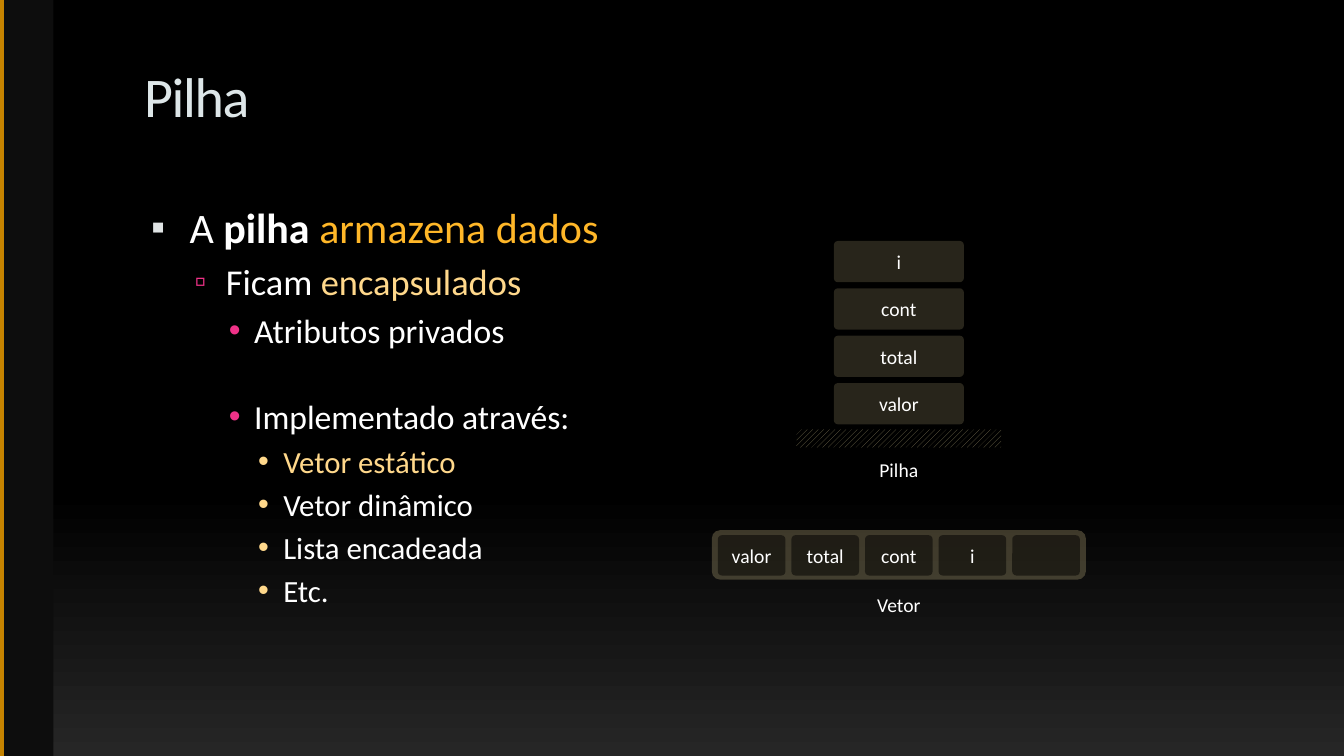
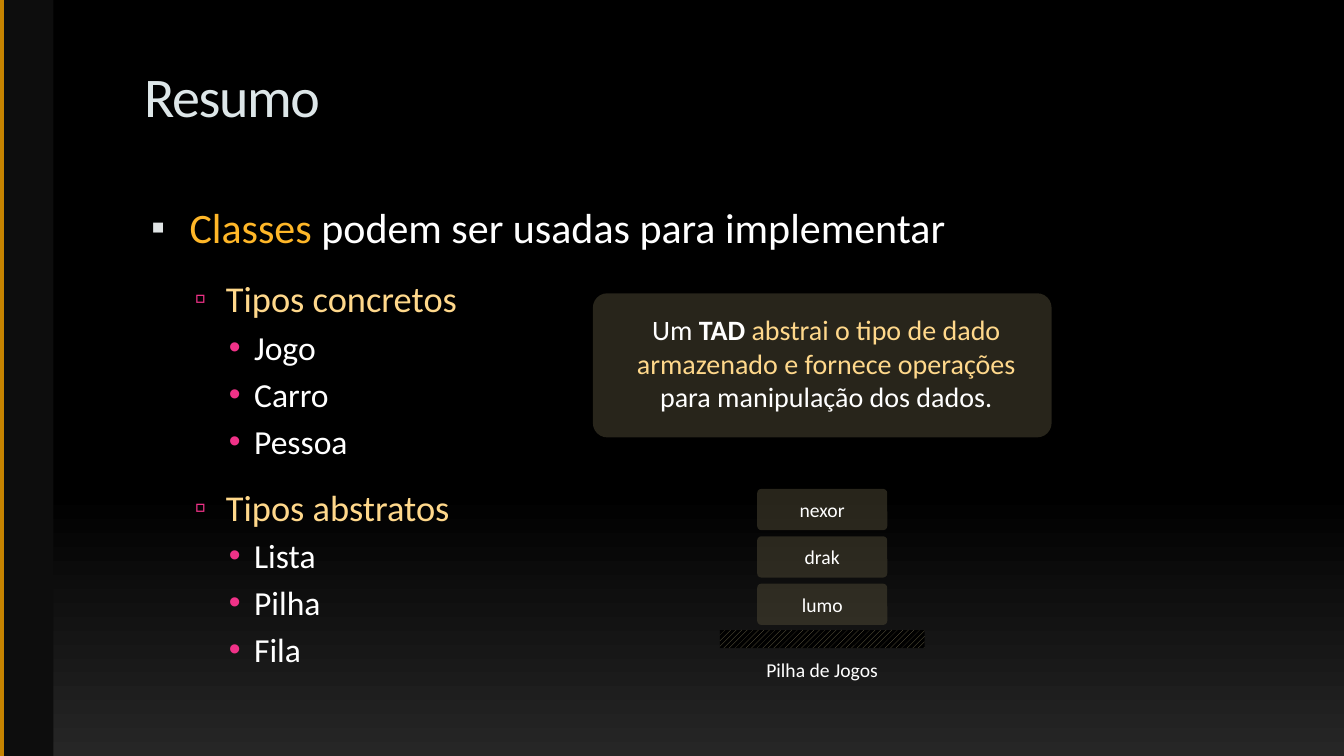
"""Build two dark slides about stacks and abstract data types."""
from copy import deepcopy
from dataclasses import dataclass

from lxml import etree
from pptx import Presentation, util as u
from pptx.dml.color import RGBColor
from pptx.enum import dml, shapes, text
from pptx.oxml import ns


@dataclass(frozen=True)
class Theme:
    """Hold the colours, type sizes and list levels of the deck."""
    font: str = "Calibri"
    black: str = "000000"
    floor: str = "262626"
    band: str = "0D0D0D"
    edge: str = "C58300"
    heading: str = "DDE6E8"
    white: str = "FFFFFF"
    amber: str = "FFB728"
    cream: str = "FFD88B"
    block: str = "504A36"
    olive: str = "786F51"
    title_size: int = 40
    callout_size: int = 20
    label_size: int = 14
    corner: float = 0.1
    levels: tuple = (
        dict(size=30, left=0.45, hang=0.38, before=7, mark="▪", tint="E0E4E5", scale=95),
        dict(size=26, left=0.81, hang=0.31, before=5.2, mark="▫", tint="F03288", scale=90),
        dict(size=24, left=1.09, hang=0.25, before=4.8, mark="•", tint="F03288", scale=100),
        dict(size=22, left=1.38, hang=0.25, before=4.4, mark="•", tint="FFD88B", scale=100),
    )


THEME = Theme()


def apply(target, **values):
    """Set every given format value on the target."""
    for name, value in values.items():
        setattr(target, name, value)


def place(shape, left, top, width, height):
    """Move and size a shape in inches."""
    apply(shape, left=u.Inches(left), top=u.Inches(top),
          width=u.Inches(width), height=u.Inches(height))


def node(parent, tag, **values):
    """Append a DrawingML element with its attributes."""
    child = etree.SubElement(parent, ns.qn(tag))
    for name, value in values.items():
        child.set(name, str(value))
    return child


def write(para, spans, size, align=None):
    """Fill a paragraph with (text, colour, bold) spans."""
    para.alignment = align
    for content, colour, bold in spans:
        span = para.add_run()
        span.text = content
        apply(span.font, name=THEME.font, size=u.Pt(size), bold=bold)
        span.font.color.rgb = RGBColor.from_string(colour)


def plain(content, colour=THEME.white):
    """Return the spans of a text in one colour."""
    return [(content, colour, False)]


def add_box(parent, kind, at, colour, opacity=100, corner=None):
    """Add a filled shape without outline or shadow."""
    box = parent.shapes.add_shape(kind, *map(u.Inches, at))
    box.shadow.inherit = False
    box.line.fill.background()
    box.fill.solid()
    box.fill.fore_color.rgb = RGBColor.from_string(colour)
    if opacity < 100:
        tint = box.fill._xPr.find(ns.qn("a:solidFill"))[0]
        node(tint, "a:alpha", val=opacity * 1000)
    if corner is not None:
        box.adjustments[0] = corner
    return box


def add_block(parent, at, label, colour):
    """Add a translucent rounded block with a centred label."""
    block = add_box(parent, shapes.MSO_SHAPE.ROUNDED_RECTANGLE, at, colour, 50, THEME.corner)
    if label:
        frame = block.text_frame
        apply(frame, vertical_anchor=text.MSO_ANCHOR.MIDDLE, word_wrap=False)
        write(frame.paragraphs[0], plain(label), THEME.label_size, text.PP_ALIGN.CENTER)


def add_text(parent, at, spans, size):
    """Add a centred, wrapping text box."""
    box = parent.shapes.add_textbox(*map(u.Inches, at))
    box.text_frame.word_wrap = True
    write(box.text_frame.paragraphs[0], spans, size, text.PP_ALIGN.CENTER)


def add_stack(page, left, top, labels, caption):
    """Draw a stack, bottom label first, above the base at left and top."""
    group = page.shapes.add_group_shape()
    width, height, pitch, base = 1.29, 0.41, 0.47, 2.03
    for index, label in enumerate(labels):
        at = (left + (base - width) / 2, top - 0.46 - index * pitch, width, height)
        add_block(group, at, label, THEME.block)
    ground = add_box(group, shapes.MSO_SHAPE.RECTANGLE, (left, top, base, 0.18), THEME.black)
    ground.fill.patterned()
    ground.fill.pattern = dml.MSO_PATTERN.WIDE_UPWARD_DIAGONAL
    ground.fill.fore_color.rgb = RGBColor.from_string(THEME.olive)
    ground.fill.back_color.rgb = RGBColor.from_string(THEME.black)
    add_text(group, (left, top + 0.23, base, 0.34), plain(caption), THEME.label_size)


def add_vector(page, left, top, labels, caption):
    """Draw a row of cells in a tray with a caption below."""
    group = page.shapes.add_group_shape()
    width = 3.71
    add_box(group, shapes.MSO_SHAPE.ROUNDED_RECTANGLE, (left, top, width, 0.49), THEME.olive, 50)
    for index, label in enumerate(labels):
        at = (left + 0.06 + index * 0.73, top + 0.05, 0.67, 0.4)
        add_block(group, at, label, THEME.black)
    add_text(group, (left, top + 0.57, width, 0.34), plain(caption), THEME.label_size)


def add_callout(page, left, top, spans):
    """Draw a rounded panel holding a centred statement."""
    group = page.shapes.add_group_shape()
    add_block(group, (left, top, 4.55, 1.43), "", THEME.block)
    add_text(group, (left + 0.16, top + 0.14, 4.31, 1.11), spans, THEME.callout_size)


def add_item(para, level, spans, after=0):
    """Write one bulleted list item at its level."""
    style = THEME.levels[level]
    apply(para, level=level, line_spacing=1.0,
          space_before=u.Pt(style["before"]), space_after=u.Pt(after))
    write(para, spans, style["size"], text.PP_ALIGN.LEFT)
    layout = para._p.get_or_add_pPr()
    layout.set("marL", str(u.Inches(style["left"])))
    layout.set("indent", str(-u.Inches(style["hang"])))
    node(node(layout, "a:buClr"), "a:srgbClr", val=style["tint"])
    node(layout, "a:buSzPct", val=style["scale"] * 1000)
    node(layout, "a:buFont", typeface="Arial")
    node(layout, "a:buChar", char=style["mark"])


def add_page(deck, title, items):
    """Add a slide with its title and bulleted list."""
    page = deck.slides.add_slide(deck.slide_layouts[1])
    heading, body = page.placeholders
    place(heading, 1.33, 0.56, 9.51, 1)
    place(body, 1.33, 1.95, 11.33, 5)
    for holder in (heading, body):
        apply(holder.text_frame, vertical_anchor=text.MSO_ANCHOR.TOP,
              word_wrap=True, auto_size=text.MSO_AUTO_SIZE.NONE)
    para = heading.text_frame.paragraphs[0]
    write(para, plain(title, THEME.heading), THEME.title_size, text.PP_ALIGN.LEFT)
    para.runs[0].font._element.set("spc", "-100")
    frame = body.text_frame
    for index, item in enumerate(items):
        add_item(frame.add_paragraph() if index else frame.paragraphs[0], *item)
    return page


def dress_master(deck, page):
    """Give the master its gradient, side band and edge line."""
    master = deck.slide_master
    fill = master.background.fill
    fill.gradient()
    last = master.element.xpath("./p:cSld/p:bg//a:gs")[-1]
    last.addprevious(deepcopy(last))
    colours = (THEME.black, THEME.black, THEME.floor)
    for stop, position, colour in zip(fill.gradient_stops, (0, 0.65, 1), colours):
        stop.position = position
        stop.color.rgb = RGBColor.from_string(colour)
    fill.gradient_angle = 270

    band = add_box(page, shapes.MSO_SHAPE.RECTANGLE, (0, 0, 0.53, 7.5), THEME.band)
    ends = map(u.Inches, (0.02, 0, 0.02, 7.5))
    edge = page.shapes.add_connector(shapes.MSO_CONNECTOR.STRAIGHT, *ends)
    edge.line.width = u.Pt(3)
    edge.line.color.rgb = RGBColor.from_string(THEME.edge)
    node(edge._element.spPr, "a:effectLst")
    for index, shape in enumerate((band, edge)):
        shape._element.xpath(".//p:cNvPr")[0].set("id", str(20 + index))
        master.element.cSld.spTree.insert(2 + index, shape._element)


def build_stack_page(deck):
    """Build the slide on the stack and its storage."""
    page = add_page(deck, "Pilha", [
        (0, [("A ", THEME.white, False), ("pilha ", THEME.white, True),
             ("armazena dados", THEME.amber, False)]),
        (1, plain("Ficam ") + plain("encapsulados", THEME.cream)),
        (2, plain("Atributos privados"), 28),
        (2, plain("Implementado através:")),
        (3, plain("Vetor estático", THEME.cream)),
        (3, plain("Vetor dinâmico")),
        (3, plain("Lista encadeada")),
        (3, plain("Etc.")),
    ])
    labels = ["valor", "total", "cont", "i"]
    add_stack(page, 7.9, 4.26, labels, "Pilha")
    add_vector(page, 7.06, 5.26, labels + [""], "Vetor")
    return page


def build_summary_page(deck):
    """Build the summary slide on concrete and abstract types."""
    page = add_page(deck, "Resumo", [
        (0, plain("Classes", THEME.amber) + plain(" podem ser usadas para implementar"), 12),
        (1, plain("Tipos concretos", THEME.cream)),
        (2, plain("Jogo")),
        (2, plain("Carro")),
        (2, plain("Pessoa"), 12),
        (1, plain("Tipos abstratos", THEME.cream)),
        (2, plain("Lista")),
        (2, plain("Pilha")),
        (2, plain("Fila")),
    ])
    add_callout(page, 5.88, 2.91, [
        ("Um ", THEME.white, False), ("TAD ", THEME.white, True),
        ("abstrai o tipo de dado armazenado e fornece operações ", THEME.cream, False),
        ("para manipulação dos dados.", THEME.white, False),
    ])
    add_stack(page, 7.14, 6.25, ["lumo", "drak", "nexor"], "Pilha de Jogos")


def main():
    """Build and save the deck."""
    deck = Presentation()
    apply(deck, slide_width=u.Inches(13.33), slide_height=u.Inches(7.5))
    dress_master(deck, build_stack_page(deck))
    build_summary_page(deck)
    deck.save("out.pptx")


if __name__ == "__main__":
    main()
